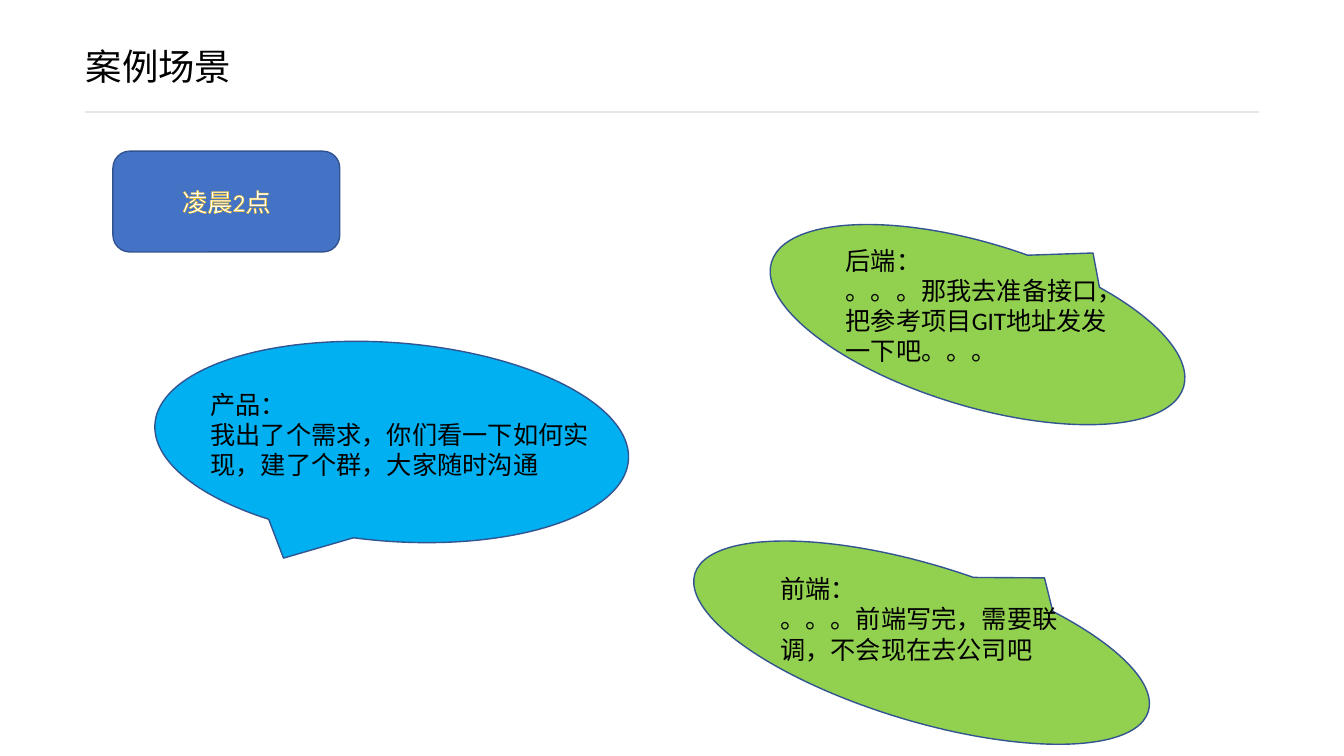
from lxml import etree
from pptx import Presentation
from pptx.dml.color import RGBColor
from pptx.enum.shapes import MSO_CONNECTOR, MSO_SHAPE
from pptx.enum.text import MSO_ANCHOR, MSO_AUTO_SIZE, PP_ALIGN
from pptx.oxml.ns import qn
from pptx.util import Inches, Pt

STRAIGHT = MSO_CONNECTOR.STRAIGHT
ROUNDED = MSO_SHAPE.ROUNDED_RECTANGLE
CALLOUT = MSO_SHAPE.OVAL_CALLOUT
MIDDLE = MSO_ANCHOR.MIDDLE
GROW = MSO_AUTO_SIZE.SHAPE_TO_FIT_TEXT
CENTER = PP_ALIGN.CENTER

COLORS = {
    "rule": "E7E7EB",
    "badge": "4472C4",
    "border": "325491",
    "product": "00B0F0",
    "developer": "92D050",
    "glow": "FFC000",
    "white": "FFFFFF",
    "black": "000000",
}
LATIN = "Calibri"
CHINESE = "Noto Sans CJK SC"


class SceneSlide:
    def __init__(self, slide):
        self.slide = slide

    def color(self, name):
        return RGBColor.from_string(COLORS[name])

    def add_run(self, paragraph, text, size=18, color="black", latin=LATIN):
        run = paragraph.add_run()
        run.text = text
        run.font.size = Pt(size)
        run.font.color.rgb = self.color(color)
        run.font.name = latin
        etree.SubElement(run.font._element, qn("a:ea"), typeface=CHINESE)
        return run

    def rule(self, left, top, right):
        line = self.slide.shapes.add_connector(
            STRAIGHT, Inches(left), Inches(top), Inches(right), Inches(top))
        line.line.color.rgb = self.color("rule")
        line.line.width = Pt(1)
        etree.SubElement(line._element.spPr, qn("a:effectLst"))

    def block(self, preset, box, fill, rotation=0):
        shape = self.slide.shapes.add_shape(preset, *map(Inches, box))
        shape.shadow.inherit = False
        shape.rotation = rotation
        shape.fill.solid()
        shape.fill.fore_color.rgb = self.color(fill)
        shape.line.color.rgb = self.color("border")
        shape.line.width = Pt(1)
        return shape

    def badge(self, box, text):
        frame = self.block(ROUNDED, box, "badge").text_frame
        frame.vertical_anchor = MIDDLE
        paragraph = frame.paragraphs[0]
        paragraph.alignment = CENTER
        properties = self.add_run(paragraph, text, color="white").font._element
        outline = etree.Element(qn("a:ln"), w=str(Pt(0.75)))
        fill = etree.SubElement(outline, qn("a:solidFill"))
        etree.SubElement(fill, qn("a:srgbClr"), val=COLORS["glow"])
        properties.insert(0, outline)

    def text_frame(self, box):
        frame = self.slide.shapes.add_textbox(*map(Inches, box)).text_frame
        frame.word_wrap = True
        return frame

    def title(self, box, text):
        frame = self.text_frame(box)
        frame.margin_left = frame.margin_right = 0
        frame.margin_top = frame.margin_bottom = 0
        paragraph = frame.paragraphs[0]
        paragraph.line_spacing = 0.9
        self.add_run(paragraph, text, size=26, latin=CHINESE)

    def speech(self, box, speaker, words):
        frame = self.text_frame(box)
        frame.auto_size = GROW
        self.add_run(frame.paragraphs[0], speaker)
        self.add_run(frame.add_paragraph(), words)


def main():
    presentation = Presentation()
    presentation.slide_width = Inches(13.33)
    presentation.slide_height = Inches(7.5)
    scene = SceneSlide(presentation.slides.add_slide(presentation.slide_layouts[6]))

    scene.rule(0.84, 1.11, 12.49)
    scene.title((0.85, 0.49, 12.48, 0.41), "案例场景")
    scene.badge((1.12, 1.5, 2.25, 1), "凌晨2点")

    conversation = [
        ((1.53, 3.4, 4.71, 1.97), 4.4, "product", (1.99, 3.81, 4.1, 1.01),
         "产品：", "我出了个需求，你们看一下如何实现，建了个群，大家随时沟通"),
        ((7.56, 2.41, 4.27, 1.62), 196.9, "developer", (8.29, 2.38, 2.97, 1.31),
         "后端：", "。。。那我去准备接口，把参考项目GIT地址发发一下吧。。。"),
        ((6.79, 5.6, 4.7, 1.55), 196.9, "developer", (7.64, 5.64, 2.99, 1.01),
         "前端：", "。。。前端写完，需要联调，不会现在去公司吧"),
    ]
    for bubble, rotation, fill, words_box, speaker, words in conversation:
        scene.block(CALLOUT, bubble, fill, rotation)
        scene.speech(words_box, speaker, words)

    presentation.save("out.pptx")


if __name__ == "__main__":
    main()
